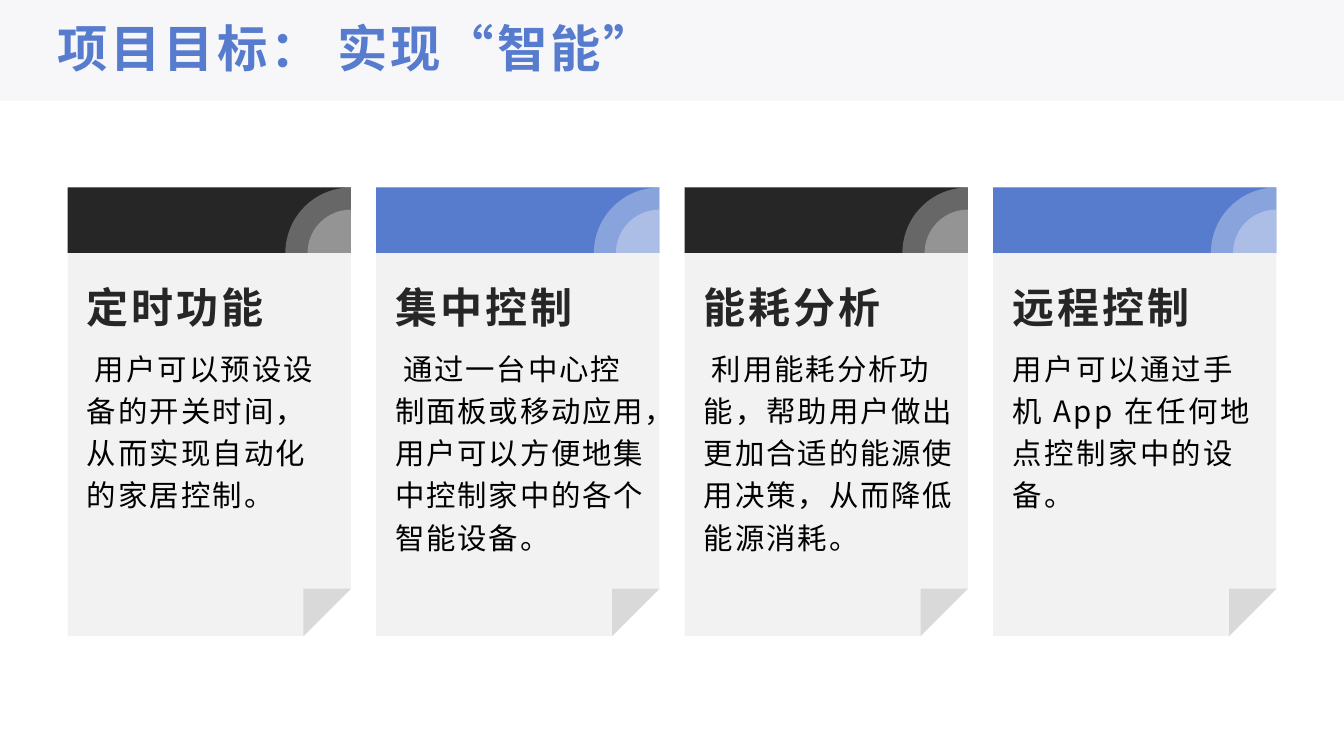
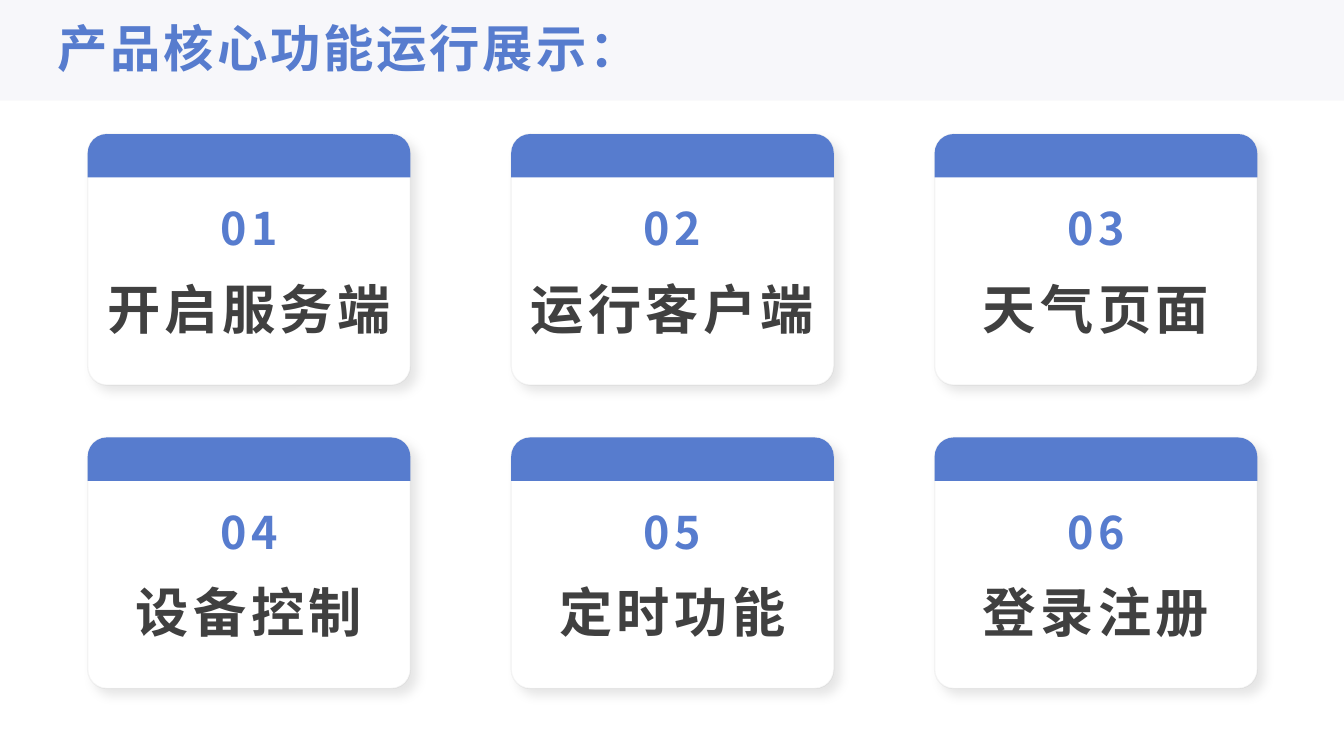
from lxml import etree
from pptx import Presentation
from pptx.dml.color import RGBColor
from pptx.enum.shapes import MSO_SHAPE
from pptx.enum.text import MSO_ANCHOR, MSO_AUTO_SIZE, PP_ALIGN
from pptx.oxml.ns import qn
from pptx.util import Inches, Pt

RECTANGLE = MSO_SHAPE.RECTANGLE
ROUNDED = MSO_SHAPE.ROUNDED_RECTANGLE
ROUNDED_TOP = MSO_SHAPE.ROUND_2_SAME_RECTANGLE
QUARTER = MSO_SHAPE.PIE_WEDGE
TRIANGLE = MSO_SHAPE.RIGHT_TRIANGLE
TOP, MIDDLE, BOTTOM = MSO_ANCHOR.TOP, MSO_ANCHOR.MIDDLE, MSO_ANCHOR.BOTTOM
LEFT, CENTER = PP_ALIGN.LEFT, PP_ALIGN.CENTER
NO_AUTOFIT = MSO_AUTO_SIZE.NONE

FONT = "Noto Sans CJK SC"
BLUE, DARK, GREY = "577CCE", "262626", "404040"
BLACK, WHITE = "000000", "FFFFFF"
BAND, PAPER, FOLD = "F5F5F8", "F2F2F2", "D9D9D9"
WIDTH, HEIGHT = 13.33, 7.5
TITLE_BOX = (0.5, 0.17, 12.33, 0.67)

NOTES = [
    ("定时功能", "用户可以预设设备的开关时间，从而实现自动化的家居控制。", DARK, 1.5, 0.08),
    ("集中控制", "通过一台中心控制面板或移动应用，用户可以方便地集中控制家中的各个智能设备。",
     BLUE, 1.3, 0.08),
    ("能耗分析", "利用能耗分析功能，帮助用户做出更加合适的能源使用决策，从而降低能源消耗。",
     DARK, 1.4, 0.08),
    ("远程控制", "用户可以通过手机 App 在任何地点控制家中的设备。", BLUE, 1.8, 0),
]
FEATURES = ["开启服务端", "运行客户端", "天气页面", "设备控制", "定时功能", "登录注册"]


def paint(format_part, color, alpha=100):
    """Give a fill a solid colour and an opacity in percent."""
    format_part.solid()
    format_part.fore_color.rgb = RGBColor.from_string(color)
    return alpha


def set_alpha(element, percent):
    """Set the opacity of the first colour inside an element."""
    color = next(element.iter(qn("a:srgbClr")))
    etree.SubElement(color, qn("a:alpha"), val=str(percent * 1000))


def finish(shape, color, alpha=100):
    """Give a shape a flat fill without line or shadow."""
    shape.shadow.inherit = False
    paint(shape.fill, color)
    if alpha < 100:
        set_alpha(shape.element.spPr, alpha)
    shape.line.fill.background()
    return shape


def add_shape(page, kind, box, color, alpha=100):
    """Add a flat preset shape in a box given in inches."""
    shape = page.shapes.add_shape(kind, *map(Inches, box))
    return finish(shape, color, alpha)


def add_polygon(page, points, color):
    """Add a flat closed outline through points given in inches."""
    start, *others = [(Inches(x), Inches(y)) for x, y in points]
    builder = page.shapes.build_freeform(*start)
    builder.add_line_segments(others, close=True)
    return finish(builder.convert_to_shape(), color)


def write(frame, text, size, color, bold=True, spacing=0, align=LEFT, anchor=MIDDLE,
          margins=(0, 0), line=1.0, after=0, indent=0):
    """Write one formatted paragraph into a text frame."""
    frame.word_wrap = True
    frame.auto_size = NO_AUTOFIT
    frame.vertical_anchor = anchor
    frame.margin_left = frame.margin_right = Inches(margins[0])
    frame.margin_top = frame.margin_bottom = Inches(margins[1])
    para = frame.paragraphs[0]
    para.alignment = align
    para.line_spacing = line
    para.space_before, para.space_after = Pt(0), Pt(after)
    if indent:
        para._p.get_or_add_pPr().set("indent", str(Inches(indent)))
    span = para.add_run()
    span.text = text
    span.font.size, span.font.bold, span.font.name = Pt(size), bold, FONT
    span.font.color.rgb = RGBColor.from_string(color)
    properties = span.font._element
    properties.set("spc", str(round(spacing * 100)))
    etree.SubElement(properties, qn("a:ea"), typeface=FONT)


def add_text(page, box, text, size, color, **style):
    """Add a text box with one formatted paragraph."""
    label = page.shapes.add_textbox(*map(Inches, box))
    write(label.text_frame, text, size, color, **style)


def add_page(deck, layout, title):
    """Add a slide with its title."""
    page = deck.slides.add_slide(layout)
    write(page.shapes.title.text_frame, title, 36, BLUE, spacing=2,
          margins=(0.07, 0.03), line=0.9)
    return page


def style_layout(layout, page):
    """Place the shared title and the header band on the layout."""
    title = layout.placeholders[0]
    title.left, title.top, title.width, title.height = map(Inches, TITLE_BOX)
    band = add_shape(page, RECTANGLE, (0, 0, WIDTH, 1), BAND, alpha=70)
    layout.shapes.element.insert(2, band.element)


def add_note(page, box, heading, body, color, spacing, indent):
    """Draw a sheet with a coloured head, a folded corner and its text."""
    left, top, width, height = box
    right, bottom = left + width, top + height
    head, fold, inset = 0.65, 0.47, 0.19
    add_polygon(page, [(left, top), (right, top), (right, bottom - fold),
                       (right - fold, bottom), (left, bottom)], PAPER)
    corner = add_shape(page, TRIANGLE, (right - fold, bottom - fold, fold, fold), FOLD)
    corner.rotation = 90
    add_shape(page, RECTANGLE, (left, top, width, head), color)
    for radius in (head, 0.43):
        add_shape(page, QUARTER, (right - radius, top + head - radius, radius, radius),
                  WHITE, alpha=30)
    text_left, text_width = left + inset, width - 0.32
    add_text(page, (text_left, top + 0.79, text_width, 0.69), heading, 30, DARK,
             spacing=2.2, anchor=BOTTOM, margins=(0, 0.05))
    add_text(page, (text_left, top + 1.5, text_width, 2.48), body, 21, BLACK, bold=False,
             spacing=spacing, anchor=TOP, margins=(0, 0.05), line=1.2, after=8,
             indent=indent)


def add_soft_shadow(shape):
    """Give a shape a faint shadow towards the lower right."""
    effects = shape.element.spPr.find(qn("a:effectLst"))
    shadow = etree.SubElement(effects, qn("a:outerShdw"), blurRad=str(Pt(8)),
                              dist=str(Pt(6)), dir="2700000", algn="tl", rotWithShape="0")
    etree.SubElement(shadow, qn("a:srgbClr"), val=BLACK)
    set_alpha(shadow, 10)


def add_feature(page, box, number, name):
    """Draw a rounded card with a blue top, a number and a name."""
    left, top, width, height = box
    radius, head, number_width = 0.19, 0.43, 0.98
    card = add_shape(page, ROUNDED, box, WHITE)
    card.adjustments[0] = radius / height
    paint(card.line.fill, BLACK)
    card.line.width = Pt(1)
    set_alpha(card.line.fill._xPr, 4)
    add_soft_shadow(card)
    cap = add_shape(page, ROUNDED_TOP, (left, top, width, head), BLUE)
    cap.adjustments[0] = radius / head
    number_left = left + (width - number_width) / 2
    add_text(page, (number_left, top + 0.57, number_width, 0.72), f"{number:02d}", 32, BLUE,
             spacing=3, align=CENTER)
    add_text(page, (left + 0.05, top + 1.3, width - 0.1, 0.85), name, 38, GREY,
             spacing=3 if len(name) > 4 else 3.2, align=CENTER, margins=(0.1, 0.05), after=8)


def add_notes(page, left, top):
    """Place the note sheets in a row."""
    for index, note in enumerate(NOTES):
        add_note(page, (left + index * 3.06, top, 2.81, 4.45), *note)


def add_features(page, left, top):
    """Place the feature cards in a grid of three columns."""
    for index, name in enumerate(FEATURES):
        row, column = divmod(index, 3)
        box = (left + column * 4.2, top + row * 3.01, 3.2, 2.49)
        add_feature(page, box, index + 1, name)


def main():
    """Build and save the deck."""
    deck = Presentation()
    deck.slide_width, deck.slide_height = Inches(WIDTH), Inches(HEIGHT)
    layout = deck.slide_layouts[5]
    goals = add_page(deck, layout, "项目目标： 实现“智能”")
    style_layout(layout, goals)
    add_notes(goals, 0.67, 1.86)
    features = add_page(deck, layout, "产品核心功能运行展示：")
    add_features(features, 0.87, 1.33)
    deck.save("out.pptx")


if __name__ == "__main__":
    main()
